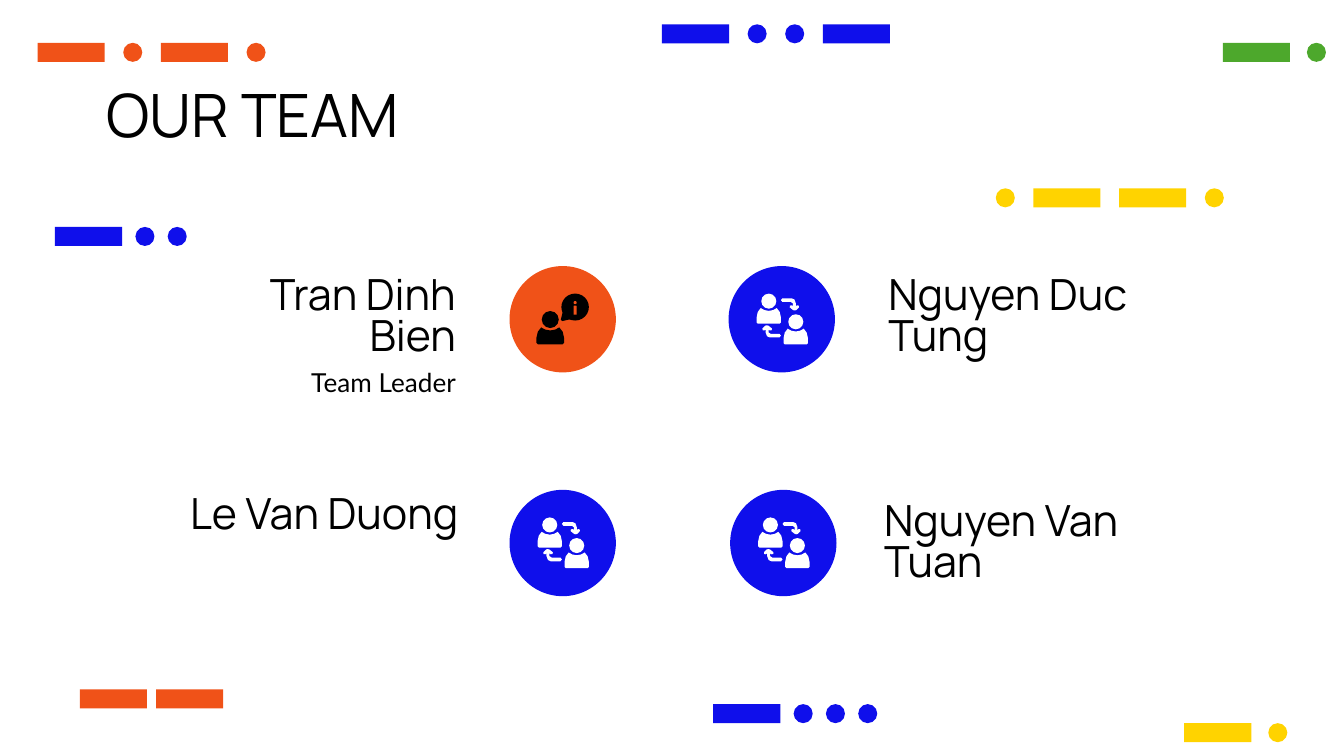
from pptx import Presentation
from pptx.dml.color import RGBColor
from pptx.enum.shapes import MSO_SHAPE
from pptx.enum.text import MSO_ANCHOR, MSO_AUTO_SIZE, PP_ALIGN
from pptx.util import Cm, Pt

COLOURS = {
    "orange": "F05218",
    "blue": "0F0FEB",
    "green": "4DA82C",
    "yellow": "FFD300",
    "black": "000000",
    "white": "FFFFFF",
}
INSET = 0.25
DISC = 2.01
BAR_WIDTH, DOT = 1.27, 0.36

# Outlines in a unit square
SHOULDERS = [(0.17, 0), (0.05, 0.25), (0, 0.6), (0, 0.92), (0.05, 1), (0.95, 1), (1, 0.92),
             (1, 0.6), (0.95, 0.25), (0.83, 0), (0.68, 0.13), (0.5, 0.18), (0.32, 0.13)]
ARROW = [(0.08, 0), (0, 0.15), (0.08, 0.3), (0.55, 0.3), (0.67, 0.42), (0.67, 0.65),
         (0.6, 0.57), (0.5, 0.6), (0.49, 0.74), (0.68, 0.97), (0.77, 1), (0.85, 0.97),
         (1, 0.74), (0.99, 0.6), (0.9, 0.57), (0.83, 0.65), (0.83, 0.42), (0.75, 0.1), (0.6, 0)]
ARROW_BACK = [(1 - x, 1 - y) for x, y in ARROW]
TAIL = [(0.2, 0), (0, 0.85), (0.12, 1), (1, 0.8)]

# Left, top, colour, marks (- bar, o dot), gap
MOTIFS = [
    (1.51, 13.03, "orange", "--", 0.17),
    (22.38, 13.67, "yellow", "-o", 0.32),
    (1.04, 4.29, "blue", "-oo", 0.25),
    (23.11, 0.81, "green", "-o", 0.32),
    (12.51, 0.46, "blue", "-oo-", 0.35),
    (18.82, 3.56, "yellow", "o--o", 0.35),
    (13.48, 13.31, "blue", "-ooo", 0.25),
    (0.71, 0.81, "orange", "-o-o", 0.35),
]


def paint(shape, colour):
    shape.shadow.inherit = False
    shape.fill.solid()
    shape.fill.fore_color.rgb = RGBColor.from_string(COLOURS[colour])
    shape.line.fill.background()


def add_preset(page, kind, box, colour):
    paint(page.shapes.add_shape(kind, *map(Cm, box)), colour)


def add_outline(page, points, box, colour):
    """Draw a closed outline of unit points stretched over the box."""
    left, top, width, height = box
    corners = [(Cm(left + x * width), Cm(top + y * height)) for x, y in points]
    builder = page.shapes.build_freeform(*corners[0])
    builder.add_line_segments(corners[1:], close=True)
    paint(builder.convert_to_shape(), colour)


def write(shape, text, *, size, font="Manrope", align=PP_ALIGN.LEFT, spacing=1.0, inset_left=INSET):
    frame = shape.text_frame
    frame.word_wrap = True
    frame.auto_size = MSO_AUTO_SIZE.NONE
    frame.vertical_anchor = MSO_ANCHOR.TOP
    frame.margin_left = Cm(inset_left)
    frame.margin_top = frame.margin_right = frame.margin_bottom = Cm(INSET)
    para = frame.paragraphs[0]
    para.alignment = align
    para.line_spacing = spacing
    para.space_before = Pt(0)
    span = para.add_run()
    span.text = text
    span.font.name = font
    span.font.size = Pt(size)
    span.font.color.rgb = RGBColor.from_string(COLOURS["black"])


def add_text(page, text, box, **style):
    write(page.shapes.add_textbox(*map(Cm, box)), text, **style)


def add_title(page, text, box):
    title = page.shapes.title
    title.left, title.top, title.width, title.height = map(Cm, box)
    write(title, text, size=32, spacing=0.95, inset_left=0)


def add_motif(page, left, top, colour, marks, gap):
    """Draw a row of bars and dots with equal gaps."""
    for mark in marks:
        kind, width = (MSO_SHAPE.RECTANGLE, BAR_WIDTH) if mark == "-" else (MSO_SHAPE.OVAL, DOT)
        add_preset(page, kind, (left, top, width, DOT), colour)
        left += width + gap


def add_person(page, box, colour):
    """Draw a head above shoulders."""
    left, top, width, height = box
    head = width * 0.62
    add_preset(page, MSO_SHAPE.OVAL, (left + (width - head) / 2, top, head, head), colour)
    body_top = top + head * 0.96
    add_outline(page, SHOULDERS, (left, body_top, width, top + height - body_top), colour)


def add_exchange_icon(page, left, top):
    add_preset(page, MSO_SHAPE.OVAL, (left, top, DISC, DISC), "blue")
    for x, y in ((0.53, 0.52), (1.04, 0.91)):
        add_person(page, (left + x, top + y, 0.46, 0.57), "white")
    add_outline(page, ARROW, (left + 0.99, top + 0.61, 0.34, 0.23), "white")
    add_outline(page, ARROW_BACK, (left + 0.64, top + 1.12, 0.35, 0.23), "white")


def add_leader_icon(page, left, top):
    add_preset(page, MSO_SHAPE.OVAL, (left, top, DISC, DISC), "orange")
    add_person(page, (left + 0.51, top + 0.85, 0.52, 0.63), "black")
    add_preset(page, MSO_SHAPE.OVAL, (left + 0.98, top + 0.52, 0.52, 0.51), "black")
    add_outline(page, TAIL, (left + 0.97, top + 0.85, 0.2, 0.19), "black")
    add_preset(page, MSO_SHAPE.OVAL, (left + 1.21, top + 0.66, 0.06, 0.06), "orange")
    add_preset(page, MSO_SHAPE.ROUNDED_RECTANGLE, (left + 1.21, top + 0.75, 0.06, 0.17), "orange")


def add_member(page, name, box, align, disc, add_icon=add_exchange_icon, role=None):
    add_text(page, name, box, size=23, align=align, spacing=0.8)
    if role:
        left, top, width, _ = box
        add_text(page, role, (left, top + 1.68, width, 1.7), size=14, font="Lato", align=align)
    add_icon(page, *disc)


def build_team_page(deck):
    page = deck.slides.add_slide(deck.slide_layouts[5])
    for motif in MOTIFS:
        add_motif(page, *motif)
    add_title(page, "OUR TEAM", (2.01, 1.32, 21.41, 1.6))
    width, height = 5.77, 1.6
    add_member(page, "Tran Dinh Bien", (3.1, 5, width, height), PP_ALIGN.RIGHT, (9.63, 5.03),
               add_leader_icon, "Team Leader")
    add_member(page, "Nguyen Duc Tung", (16.54, 5, width, height), PP_ALIGN.LEFT, (13.77, 5.03))
    add_member(page, "Le Van Duong", (3.15, 9.14, width, height), PP_ALIGN.RIGHT, (9.63, 9.26))
    add_member(page, "Nguyen Van Tuan", (16.46, 9.27, width, height), PP_ALIGN.LEFT, (13.8, 9.26))


def main():
    deck = Presentation()
    deck.slide_width, deck.slide_height = Cm(25.4), Cm(14.29)
    build_team_page(deck)
    deck.save("out.pptx")


if __name__ == "__main__":
    main()
